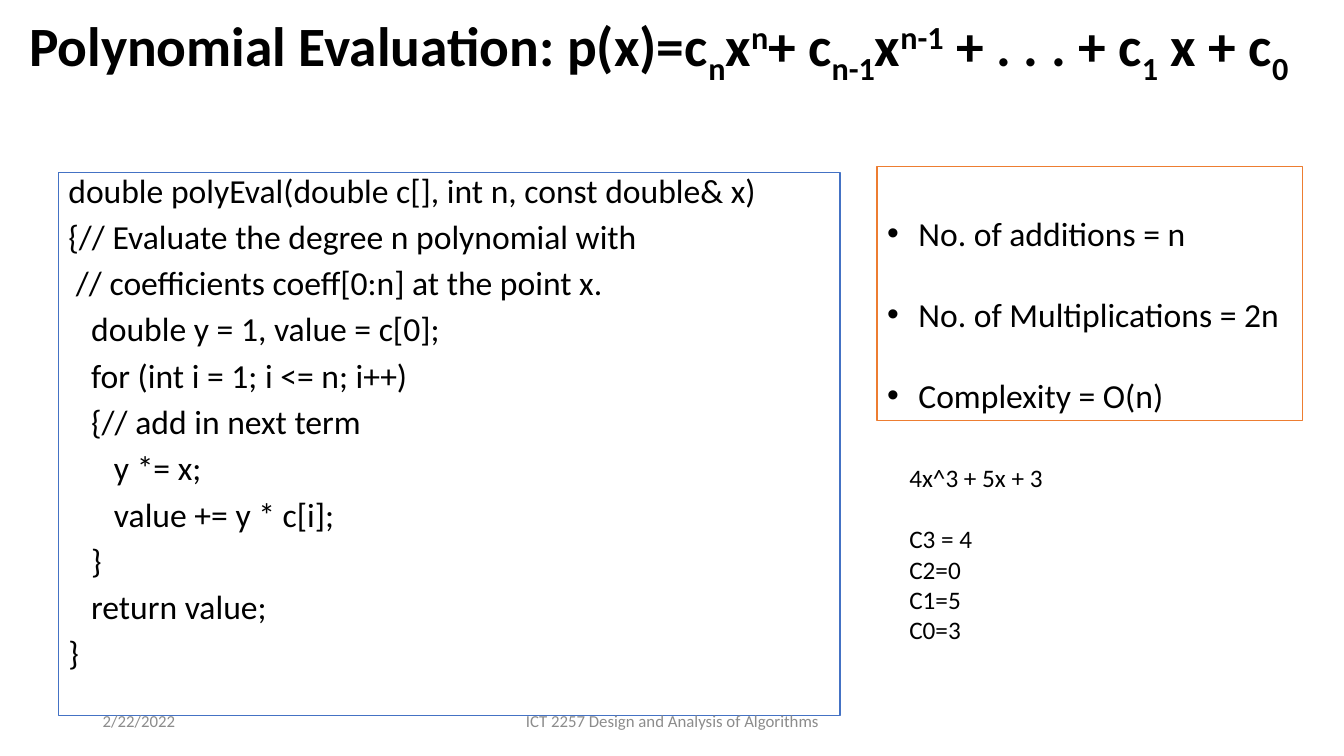
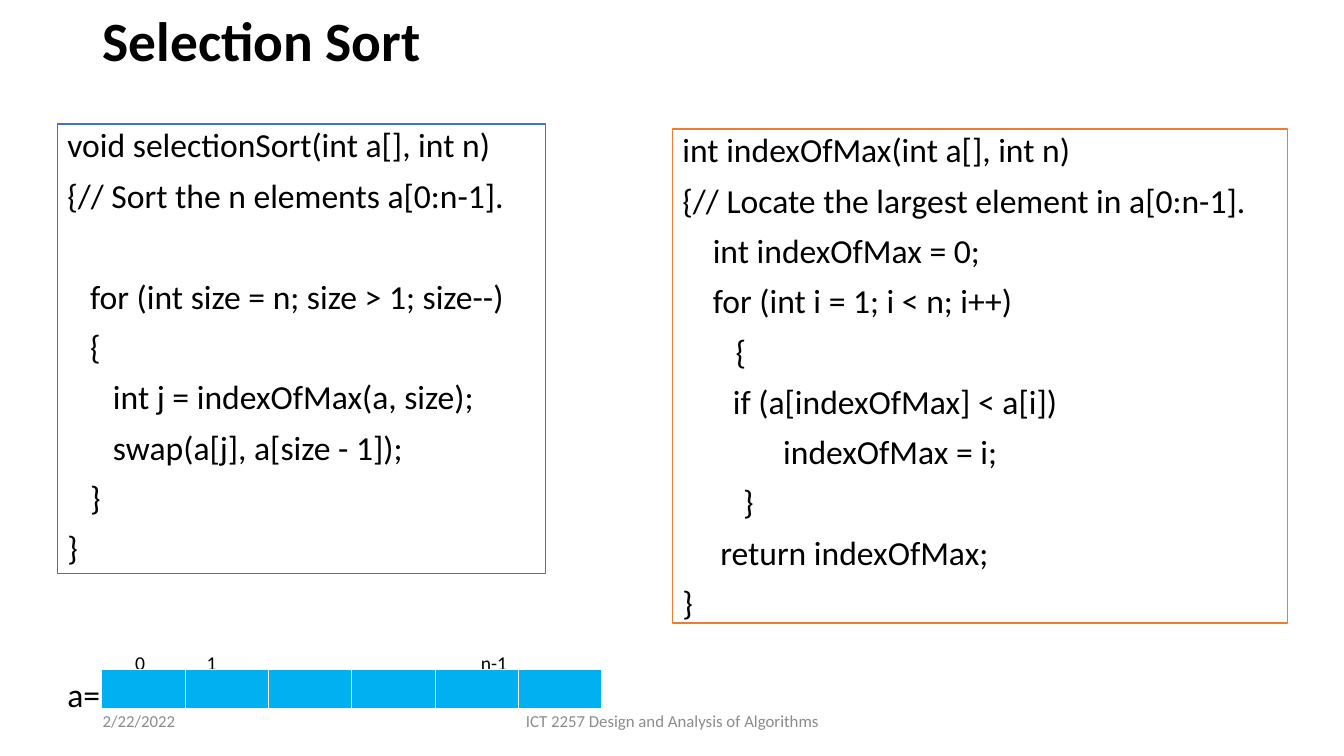
from lxml import etree
from pptx import Presentation
from pptx.dml.color import RGBColor
from pptx.enum.shapes import MSO_SHAPE
from pptx.enum.text import MSO_ANCHOR, PP_ALIGN
from pptx.oxml.ns import qn
from pptx.util import Inches, Pt

BLACK = RGBColor(0x00, 0x00, 0x00)
WHITE = RGBColor(0xFF, 0xFF, 0xFF)
GREY = RGBColor(0x8C, 0x8C, 0x8C)
BLUE = RGBColor(0x44, 0x72, 0xC4)
ORANGE = RGBColor(0xED, 0x7D, 0x31)
CYAN = RGBColor(0x00, 0xB0, 0xF0)
FONT = "Calibri"
SUB, SUP = -25, 30  # baseline shift, percent

# Boxes are left, top, width, height in inches.
FOOTERS = [
    ("2/22/2022", (0.92, 6.95, 3, 0.4), PP_ALIGN.LEFT),
    ("ICT 2257 Design and Analysis of Algorithms", (4.42, 6.95, 4.5, 0.4), PP_ALIGN.CENTER),
]

POLY_TITLE = [
    ("Polynomial Evaluation: p(x)=c", 0), ("n", SUB), ("x", 0), ("n", SUP),
    ("+ c", 0), ("n-1", SUB), ("x", 0), ("n-1", SUP),
    (" + . . . + c", 0), ("1", SUB), (" x + c", 0), ("0", SUB),
]
POLY_CODE = [
    "double polyEval(double c[], int n, const double& x)",
    "{// Evaluate the degree n polynomial with",
    " // coefficients coeff[0:n] at the point x.",
    "   double y = 1, value = c[0];",
    "   for (int i = 1; i <= n; i++)",
    "   {// add in next term",
    "      y *= x;",
    "      value += y * c[i];",
    "   }",
    "   return value;",
    "}",
]
POLY_COST = ["No. of additions = n", "No. of Multiplications = 2n", "Complexity = O(n)"]
POLY_EXAMPLE = ["4x^3 + 5x + 3", "", "C3 = 4", "C2=0", "C1=5", "C0=3"]

SORT_CODE = [
    "void selectionSort(int a[], int n)",
    "{// Sort the n elements a[0:n-1].",
    "",
    "   for (int size = n; size > 1; size--)",
    "   {",
    "      int j = indexOfMax(a, size);",
    "      swap(a[j], a[size - 1]);",
    "   }",
    "}",
]
MAX_CODE = [
    "int indexOfMax(int a[], int n)",
    "{// Locate the largest element in a[0:n-1].",
    "    int indexOfMax = 0;",
    "    for (int i = 1; i < n; i++)",
    "       {",
    "\tif (a[indexOfMax] < a[i])",
    "\t\tindexOfMax = i;",
    "        }",
    "     return indexOfMax;",
    "}",
]
INDEX_LABELS = [("0", 1.39), ("1", 2.1), ("n-1", 4.9)]  # text, centre
ARRAY_BOX = (1.01, 6.64, 4.96, 0.4)
ARRAY_CELLS = 6


def add_text(slide, box, lines, size=24, color=BLACK, bold=False, outline=None,
             align=PP_ALIGN.LEFT, anchor=MSO_ANCHOR.TOP, spacing=1, gap=0, bullet=False):
    """Write lines (strings or lists of (text, baseline)); "" widens the gap by a line."""
    area = [Inches(v) for v in box]
    if outline is None:
        sp = slide.shapes.add_textbox(*area)
    else:
        sp = slide.shapes.add_shape(MSO_SHAPE.RECTANGLE, *area)
        sp.shadow.inherit = False
        sp.fill.solid()
        sp.fill.fore_color.rgb = WHITE
        sp.line.color.rgb = outline
        sp.line.width = Pt(1)
    tf = sp.text_frame
    tf.word_wrap = True
    tf.vertical_anchor = anchor
    before = 0
    for i, line in enumerate(lines):
        if not line:
            before += size * 1.22 * spacing + gap
            continue
        p = tf.add_paragraph() if i else tf.paragraphs[0]
        p.alignment = align
        p.line_spacing = spacing
        p.space_before = Pt(before)
        before = gap
        if bullet:
            pPr = p._p.get_or_add_pPr()
            pPr.set("marL", str(Inches(0.31)))
            pPr.set("indent", str(-Inches(0.31)))
            etree.SubElement(pPr, qn("a:buFont"), typeface="Arial")
            etree.SubElement(pPr, qn("a:buChar"), char="•")
        for text, baseline in [(line, 0)] if isinstance(line, str) else line:
            r = p.add_run()
            r.text = text
            r.font.name = FONT
            r.font.size = Pt(size)
            r.font.bold = bold
            r.font.color.rgb = color
            if baseline:
                r._r.get_or_add_rPr().set("baseline", str(baseline * 1000))


def add_title(slide, box, title):
    add_text(slide, box, [title], size=39.6, bold=True, spacing=0.9, anchor=MSO_ANCHOR.MIDDLE)


def add_footers(slide):
    for text, box, align in FOOTERS:
        add_text(slide, box, [text], size=12, color=GREY, align=align, anchor=MSO_ANCHOR.MIDDLE)


def set_borders(cell, color, **widths):
    """Draw the cell's edges; widths are points by edge letter, in L, R, T, B order."""
    tcPr = cell._tc.get_or_add_tcPr()
    for i, (edge, width) in enumerate(widths.items()):
        ln = etree.Element(qn(f"a:ln{edge}"), w=str(Pt(width)))
        fill = etree.SubElement(ln, qn("a:solidFill"))
        etree.SubElement(fill, qn("a:srgbClr"), val=str(color))
        tcPr.insert(i, ln)


def add_array(slide):
    left, top, width, height = ARRAY_BOX
    add_text(slide, (0.57, 6.64, 0.6, 0.5), ["a="], anchor=MSO_ANCHOR.MIDDLE)
    for text, centre in INDEX_LABELS:
        add_text(slide, (centre - 0.3, 6.41, 0.6, 0.33), [text], size=14,
                 align=PP_ALIGN.CENTER, anchor=MSO_ANCHOR.MIDDLE)
    table = slide.shapes.add_table(1, ARRAY_CELLS, Inches(left), Inches(top),
                                   Inches(width), Inches(height)).table
    for cell in table.iter_cells():
        cell.fill.solid()
        cell.fill.fore_color.rgb = CYAN
        set_borders(cell, WHITE, L=1, R=1, T=1, B=3)


def build_polynomial(slide):
    add_title(slide, (0.19, 0.05, 12.96, 0.81), POLY_TITLE)
    add_text(slide, (0.58, 1.71, 7.75, 5.39), POLY_CODE, outline=BLUE, spacing=0.8, gap=10)
    add_text(slide, (8.7, 1.65, 4.22, 2.52), POLY_COST, outline=ORANGE, gap=29,
             bullet=True, anchor=MSO_ANCHOR.BOTTOM)
    add_text(slide, (8.92, 4.54, 3.32, 1.92), POLY_EXAMPLE, size=18)


def build_selection_sort(slide):
    add_title(slide, (0.92, 0.15, 11.5, 0.57), "Selection Sort")
    add_text(slide, (0.57, 1.23, 4.84, 4.46), SORT_CODE, outline=BLUE, spacing=0.9, gap=10)
    add_text(slide, (6.67, 1.28, 6.1, 4.9), MAX_CODE, outline=ORANGE, spacing=0.9, gap=10)
    add_array(slide)


def main():
    prs = Presentation()
    prs.slide_width, prs.slide_height = Inches(13.33), Inches(7.5)
    for build in (build_polynomial, build_selection_sort):
        slide = prs.slides.add_slide(prs.slide_layouts[6])
        build(slide)
        add_footers(slide)
    prs.save("out.pptx")


if __name__ == "__main__":
    main()
